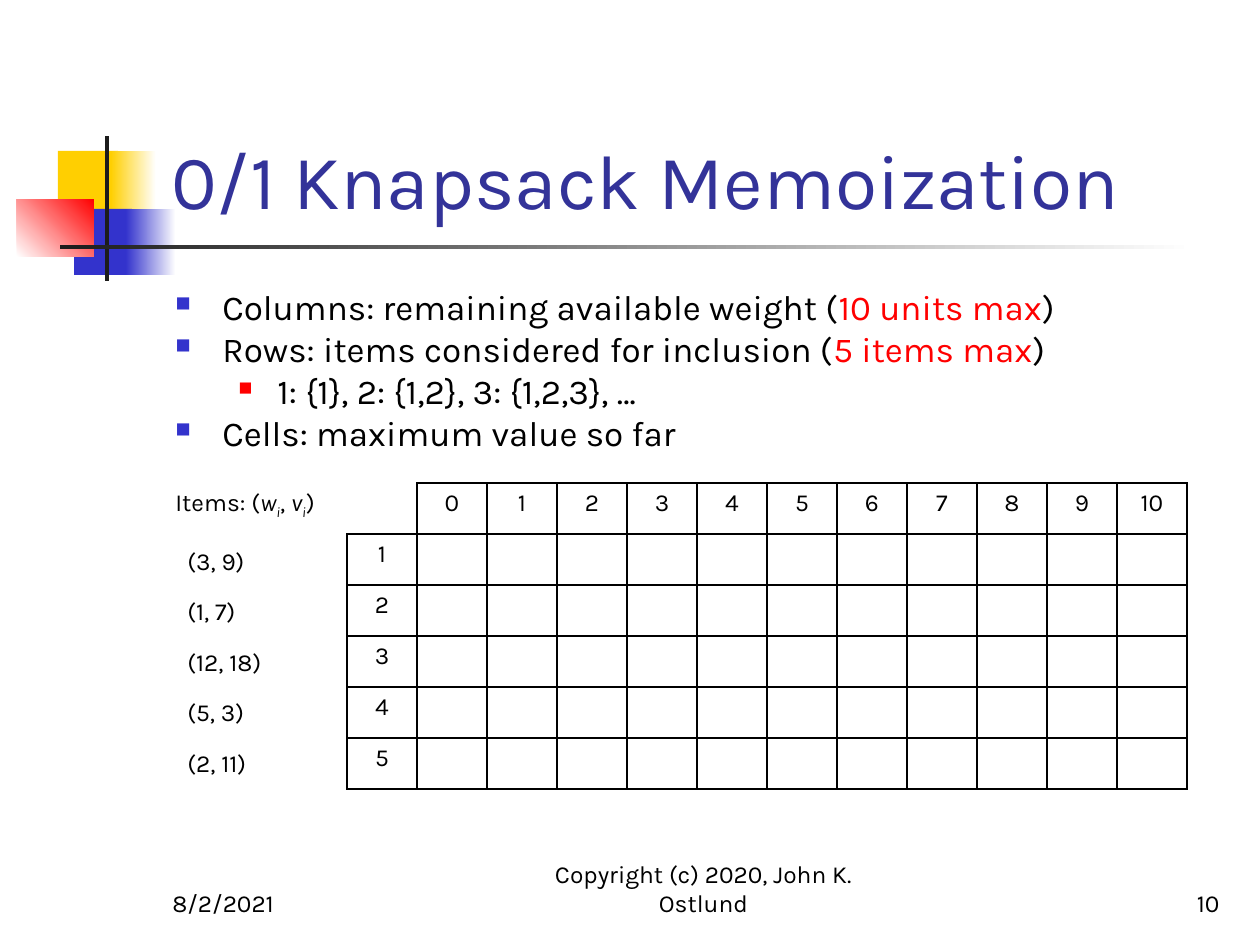
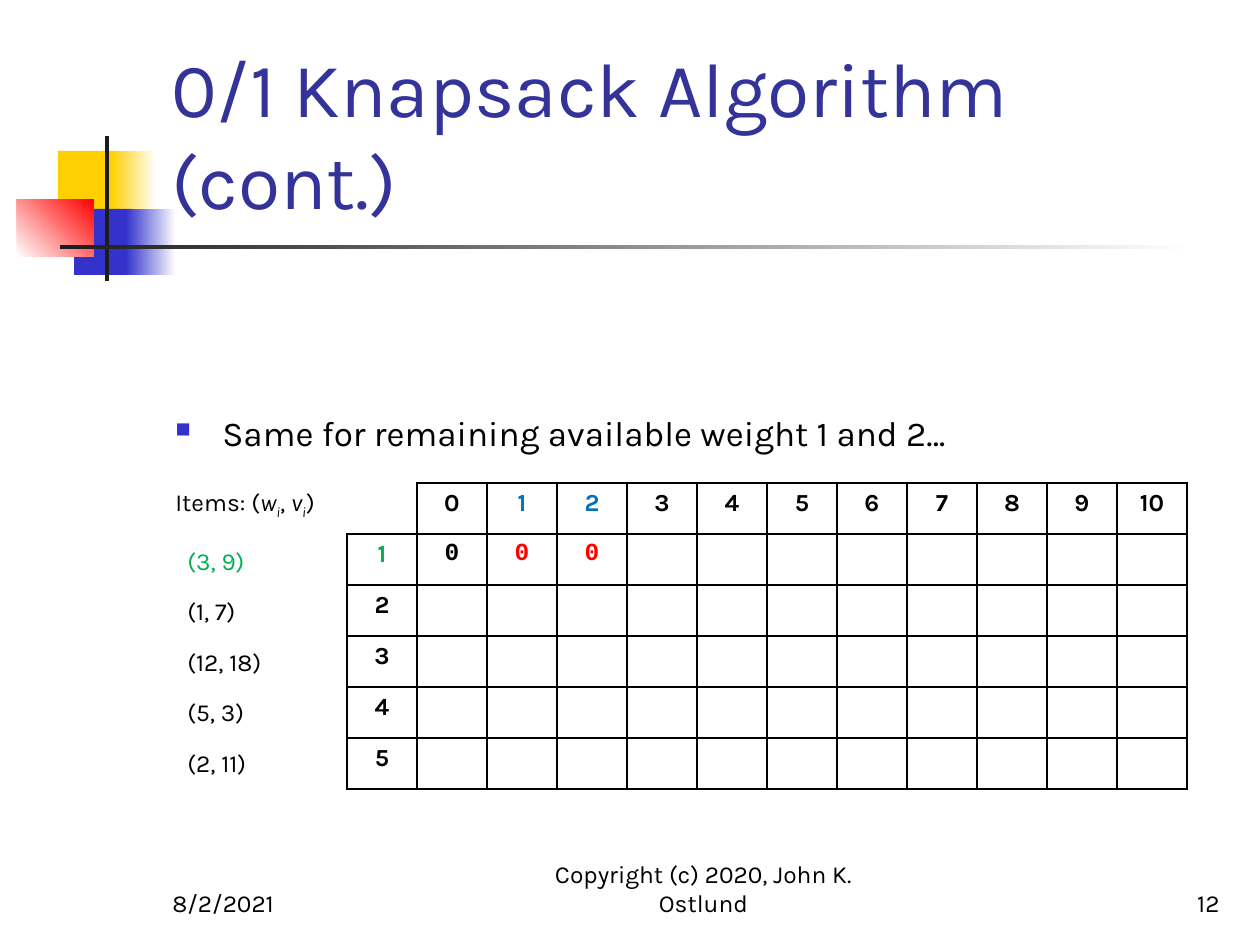
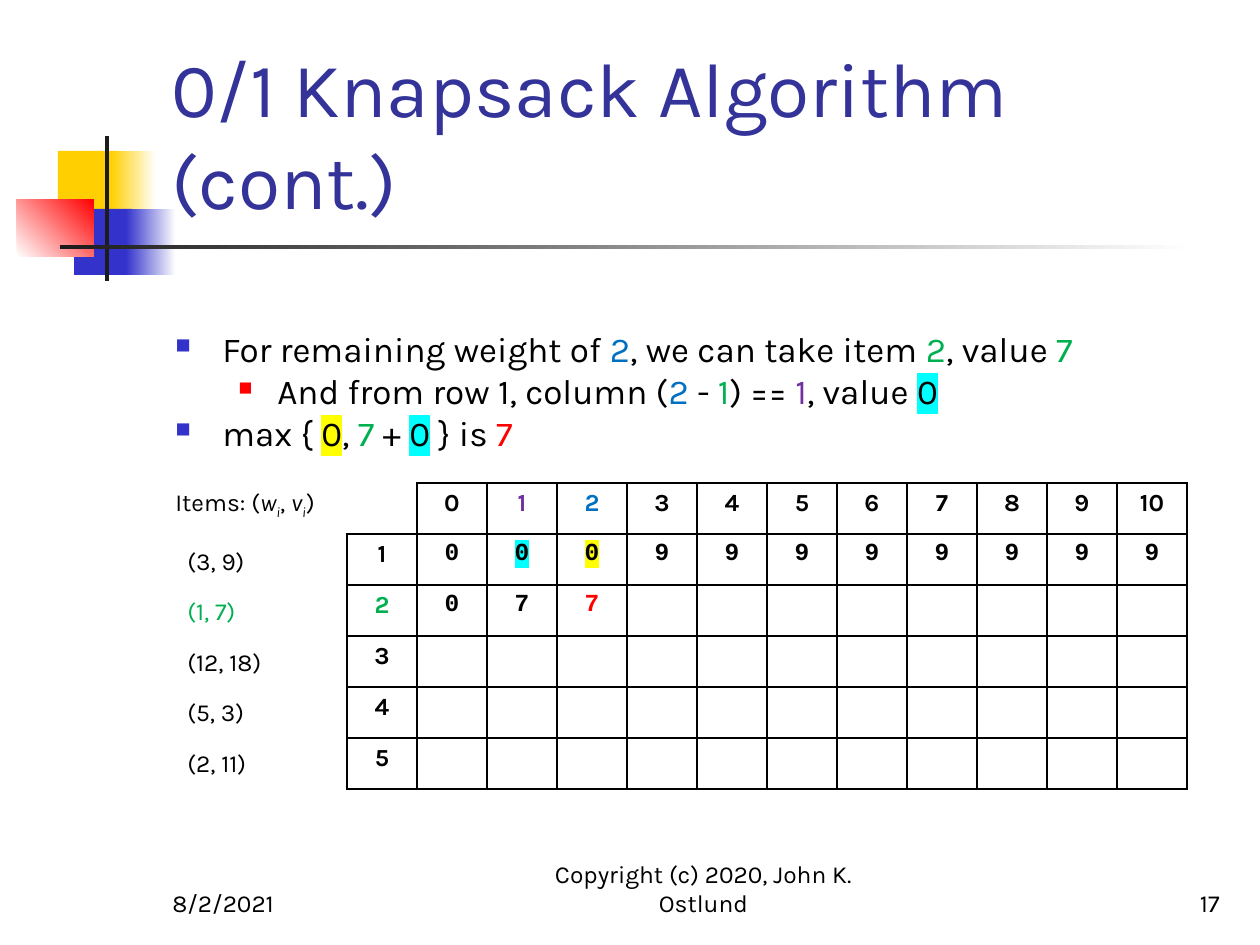
"""Build three slides that fill in a 0/1 knapsack memoization table."""
from lxml import etree
from pptx import Presentation
from pptx.dml.color import RGBColor
from pptx.enum.shapes import MSO_SHAPE
from pptx.enum.text import MSO_ANCHOR, PP_ALIGN
from pptx.oxml.ns import qn
from pptx.util import Emu, Pt

EMU_PER_PX = 914400 / 126
RECTANGLE = MSO_SHAPE.RECTANGLE
TOP, BOTTOM = MSO_ANCHOR.TOP, MSO_ANCHOR.BOTTOM
LEFT, CENTER, RIGHT = PP_ALIGN.LEFT, PP_ALIGN.CENTER, PP_ALIGN.RIGHT

BLACK = RGBColor(0x00, 0x00, 0x00)
WHITE = RGBColor(0xFF, 0xFF, 0xFF)
CHARCOAL = RGBColor(0x1C, 0x1C, 0x1C)
GOLD = RGBColor(0xFF, 0xCF, 0x01)
INDIGO = RGBColor(0x33, 0x33, 0xCC)
NAVY = RGBColor(0x33, 0x33, 0x99)
RED = RGBColor(0xFF, 0x00, 0x00)
GREEN = RGBColor(0x00, 0xB0, 0x50)
BLUE = RGBColor(0x00, 0x70, 0xC0)
PURPLE = RGBColor(0x70, 0x30, 0xA0)
CYAN = RGBColor(0x00, 0xFF, 0xFF)
YELLOW = RGBColor(0xFF, 0xFF, 0x00)

BODY_FONT = "Karla"
VALUE_FONT = "Courier New"

RESULT = {"color": RED}
ITEM = {"color": GREEN}
WEIGHT = {"color": BLUE}
REST = {"color": PURPLE}
TAKE = {"highlight": CYAN}
SKIP = {"highlight": YELLOW}
VARIABLE = {"italic": True}
SUBSCRIPT = {"italic": True, "baseline": -25}

ITEMS = ["(3, 9)", "(1, 7)", "(12, 18)", "(5, 3)", "(2, 11)"]
ITEMS_HEADING = ["Items: (", ("w", VARIABLE), ("i", SUBSCRIPT), ", ",
                 ("v", VARIABLE), ("i", SUBSCRIPT), ")"]
MAX_WEIGHT = 10
COLUMN_WIDTH, ROW_HEIGHT = 70, 51

BULLETS = [
    {"indent": 47, "hanging": 47, "color": INDIGO, "percent": 60},
    {"indent": 102, "hanging": 39, "color": RED, "percent": 55},
]

DECORATION = [
    ((58, 151, 60, 66), (GOLD,), 0),
    ((111, 151, 45, 66), (GOLD, WHITE), 0),
    ((74, 209, 58, 66), (INDIGO,), 0),
    ((126, 209, 50, 66), (INDIGO, WHITE), 0),
    ((17, 199, 77, 58), (WHITE, RED), 45),
    ((105, 136, 4, 145), (CHARCOAL,), 0),
    ((60, 245, 1134, 4), (CHARCOAL, WHITE), 0),
]

PAGES = [
    {
        "title": "0/1 Knapsack Memoization",
        "number": "10",
        "notes": [
            (0, ["Columns: remaining available weight (",
                 ("10 units max", RESULT), ")"]),
            (0, ["Rows: items considered for inclusion (",
                 ("5 items max", RESULT), ")"]),
            (1, ["1: {1}, 2: {1,2}, 3: {1,2,3}, …"]),
            (0, ["Cells: maximum value so far"]),
        ],
        "current_item": None,
        "values": {},
        "marks": {},
    },
    {
        "title": "0/1 Knapsack Algorithm (cont.)",
        "number": "12",
        "notes": [(0, ["Same for remaining available weight 1 and 2…"])],
        "current_item": 1,
        "values": {1: [0, 0, 0]},
        "marks": {(0, 1): WEIGHT, (0, 2): WEIGHT,
                  (1, 1): RESULT, (1, 2): RESULT},
    },
    {
        "title": "0/1 Knapsack Algorithm (cont.)",
        "number": "17",
        "notes": [
            (0, ["For remaining weight of ", ("2", WEIGHT),
                 ", we can take item ", ("2", ITEM), ", value ", ("7", ITEM)]),
            (1, ["And from row 1, column (", ("2", WEIGHT), " - ", ("1", ITEM),
                 ") == ", ("1", REST), ", value ", ("0", TAKE)]),
            (0, ["max { ", ("0", SKIP), ", ", ("7", ITEM), " + ", ("0", TAKE),
                 " } is ", ("7", RESULT)]),
        ],
        "current_item": 2,
        "values": {1: [0, 0, 0] + [9] * 8, 2: [0, 7, 7]},
        "marks": {(0, 1): REST, (0, 2): WEIGHT, (1, 1): TAKE, (1, 2): SKIP,
                  (2, 2): RESULT},
    },
]


def px(length):
    """Turn a length in px into EMU."""
    return Emu(round(length * EMU_PER_PX))


def add_element(parent, tag, **attributes):
    """Append a DrawingML element to a parent element."""
    element = etree.SubElement(parent, qn(tag))
    for name, value in attributes.items():
        element.set(name, str(value))
    return element


def add_span(para, text, *, size=14, color=BLACK, font=BODY_FONT, bold=False,
             italic=False, baseline=0, highlight=None):
    """Add formatted text to a paragraph."""
    span = para.add_run()
    span.text = text
    span.font.size = Pt(size)
    span.font.bold = bold
    span.font.italic = italic
    span.font.color.rgb = color
    properties = span._r.get_or_add_rPr()
    if baseline:
        properties.set("baseline", str(baseline * 1000))
    if highlight is not None:
        add_element(add_element(properties, "a:highlight"), "a:srgbClr", val=highlight)
    span.font.name = font


def add_spans(para, spans, **shared):
    """Add plain strings and (text, format) pairs to a paragraph."""
    for span in spans:
        text, own = (span, {}) if isinstance(span, str) else span
        add_span(para, text, **{**shared, **own})


def add_box(page, left, top, width, height, anchor=TOP):
    """Add a wrapping text box and return its text frame."""
    frame = page.shapes.add_textbox(px(left), px(top), px(width), px(height)).text_frame
    frame.word_wrap = True
    frame.vertical_anchor = anchor
    return frame


def add_line_of_text(page, place, text, align=LEFT, **style):
    """Add a bottom-anchored box with one paragraph."""
    para = add_box(page, *place, anchor=BOTTOM).paragraphs[0]
    para.alignment = align
    add_span(para, text, **style)


def next_para(frame, index):
    """Return the first paragraph of a frame, or a new one after it."""
    return frame.add_paragraph() if index else frame.paragraphs[0]


def indent(para, left, hanging=0):
    """Set the left margin and hanging indent and return the properties."""
    properties = para._p.get_or_add_pPr()
    properties.set("marL", str(px(left)))
    properties.set("indent", str(-px(hanging)))
    return properties


def add_bullet(para, level):
    """Give a paragraph the square bullet of its level."""
    bullet = BULLETS[level]
    para.level = level
    properties = indent(para, bullet["indent"], bullet["hanging"])
    add_element(add_element(properties, "a:buClr"), "a:srgbClr", val=bullet["color"])
    add_element(properties, "a:buSzPct", val=bullet["percent"] * 1000)
    add_element(properties, "a:buChar", char="■")


def add_band(page, place, colors, angle):
    """Add a rectangle with a plain or two-colour gradient fill."""
    band = page.shapes.add_shape(RECTANGLE, *map(px, place))
    band.shadow.inherit = False
    band.line.fill.background()
    if len(colors) == 1:
        band.fill.solid()
        band.fill.fore_color.rgb = colors[0]
        return
    band.fill.gradient()
    band.fill.gradient_angle = angle
    for stop, color in zip(band.fill.gradient_stops, colors):
        stop.color.rgb = color


def add_notes_list(page, notes):
    """Add the bulleted list that ends just above the table."""
    frame = add_box(page, 163, 278, 1071, 182, anchor=BOTTOM)
    for index, (level, spans) in enumerate(notes):
        para = next_para(frame, index)
        add_bullet(para, level)
        add_spans(para, spans, size=20)


def add_items(page, current_item):
    """Add the list of item weights and values beside the table."""
    frame = add_box(page, 163, 481, 180, 309)
    add_spans(frame.paragraphs[0], ITEMS_HEADING)
    for number, item in enumerate(ITEMS, start=1):
        para = next_para(frame, number)
        indent(para, 12)
        para.space_before = Pt(14.5 if number == 1 else 12)
        add_span(para, item, color=GREEN if number == current_item else BLACK)


def set_borders(cell, hidden=()):
    """Draw thin black cell borders except on the hidden sides."""
    properties = cell._tc.get_or_add_tcPr()
    for position, side in enumerate(("a:lnL", "a:lnR", "a:lnT", "a:lnB")):
        border = etree.Element(qn(side), w=str(Pt(1)))
        if side in hidden:
            add_element(border, "a:noFill")
        else:
            add_element(add_element(border, "a:solidFill"), "a:srgbClr", val=BLACK)
        properties.insert(position, border)


def cell_text(row, column, values):
    """Return the label or the memoized value of a table cell."""
    if column == 0:
        return str(row) if row else ""
    weight = column - 1
    if row == 0:
        return str(weight)
    known = values.get(row, [])
    return str(known[weight]) if weight < len(known) else ""


def add_memo_table(page, values, marks, current_item):
    """Add the table of items by remaining weight."""
    rows, columns = len(ITEMS) + 1, MAX_WEIGHT + 2
    table = page.shapes.add_table(rows, columns, px(347), px(483), px(columns * COLUMN_WIDTH),
                                  px(rows * ROW_HEIGHT)).table
    table.first_row = table.horz_banding = False
    for column in table.columns:
        column.width = px(COLUMN_WIDTH)
    for row in range(rows):
        table.rows[row].height = px(ROW_HEIGHT)
        for column in range(columns):
            cell = table.cell(row, column)
            cell.margin_bottom = 0
            cell.fill.background()
            set_borders(cell, () if row or column else ("a:lnL", "a:lnT"))
            text = cell_text(row, column, values)
            if not text:
                continue
            style = marks.get((row, column - 1), {})
            if column == 0 and row == current_item:
                style = ITEM
            para = cell.text_frame.paragraphs[0]
            para.alignment = CENTER
            add_span(para, text, bold=current_item is not None,
                     font=VALUE_FONT if row and column else BODY_FONT, **style)


def add_frame(page, title, number):
    """Add the decoration, title and footers that every slide has."""
    for place, colors, angle in DECORATION:
        add_band(page, place, colors, angle)
    add_line_of_text(page, (159, 29, 1074, 202), title, size=44, color=NAVY)
    add_line_of_text(page, (160, 861, 262, 63), "8/2/2021")
    add_line_of_text(page, (504, 861, 399, 63), "Copyright (c) 2020, John K. Ostlund", CENTER)
    add_line_of_text(page, (970, 861, 262, 63), number, RIGHT)


def main():
    """Build and save the deck."""
    deck = Presentation()
    deck.slide_width, deck.slide_height = px(1260), px(945)
    for content in PAGES:
        page = deck.slides.add_slide(deck.slide_layouts[6])
        add_frame(page, content["title"], content["number"])
        add_notes_list(page, content["notes"])
        add_items(page, content["current_item"])
        add_memo_table(page, content["values"], content["marks"], content["current_item"])
    deck.save("out.pptx")


if __name__ == "__main__":
    main()
